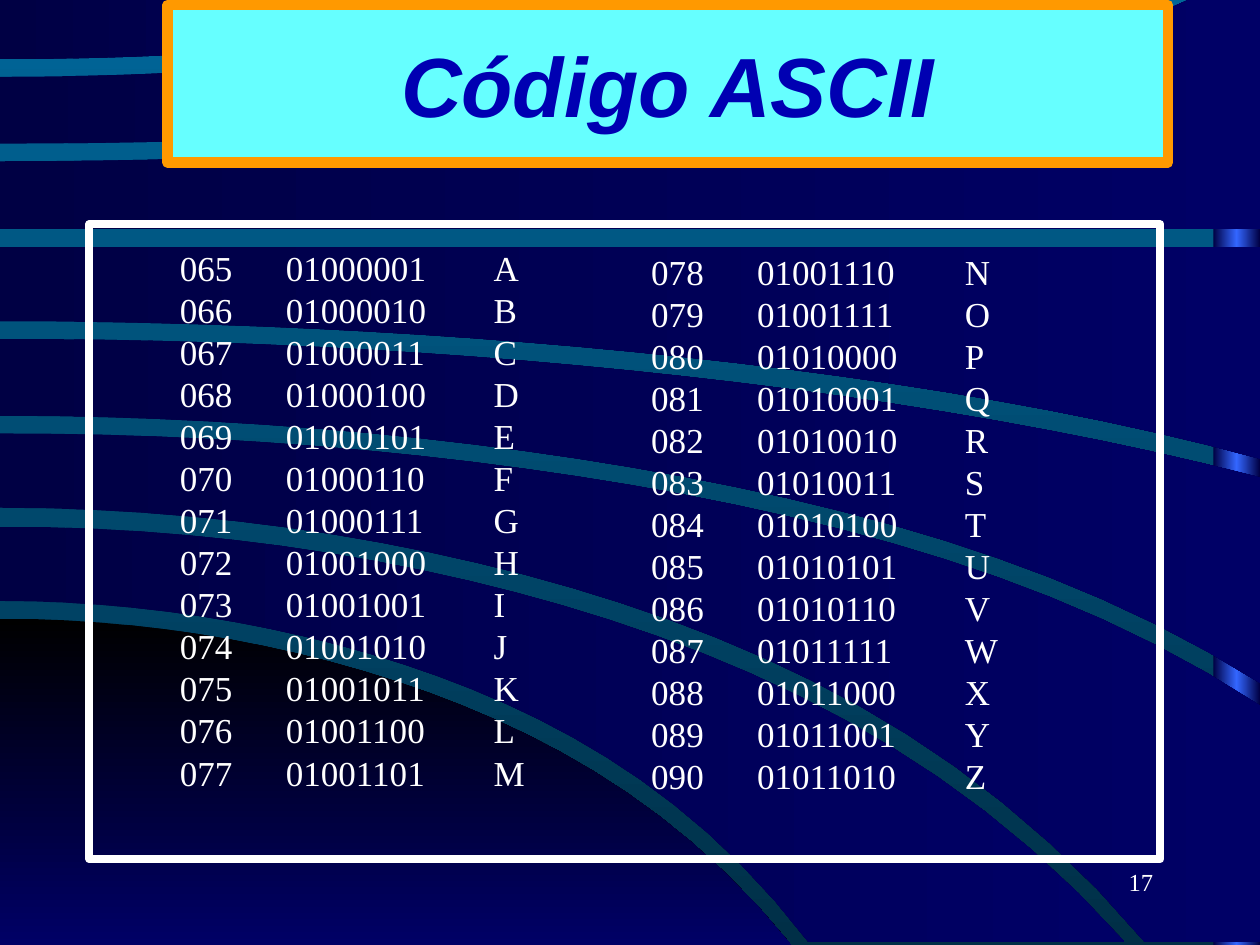
from collections import namedtuple
from copy import deepcopy

from lxml import etree
from pptx import Presentation
from pptx.dml.color import RGBColor
from pptx.enum.shapes import MSO_SHAPE
from pptx.enum.text import MSO_ANCHOR, PP_ALIGN
from pptx.oxml.ns import qn
from pptx.util import Inches, Pt

COLORS = {
    "sky_top": "006699", "sky_bottom": "002F47",
    "night": "000044", "navy": "000066", "black": "000000", "glow": "3366FF",
    "title_fill": "66FFFF", "title_line": "FF9900", "title_text": "0000B2",
    "white": "FFFFFF",
}

# Heights of an arc at its left end, at 3/4 of its reach and at its right end
Edge = namedtuple("Edge", "start bend end reach")


def flat(y, reach):
    return Edge(y, y, y, reach)


CORNER = (Edge(4.91, 6.12, 7.5, 6.28), flat(7.5, 6.28))

# Upper and lower edge of each dark band, from the bottom of the slide to the top
BANDS = [
    (Edge(4.18, 5.71, 7.48, 8.93), Edge(4.77, 6.01, 7.48, 6.42)),
    (Edge(3.44, 4.44, 5.6, 10), Edge(4.03, 5.6, 7.48, 9.09)),
    (Edge(2.69, 3.27, 3.79, 10), Edge(3.3, 4.29, 5.42, 10)),
    (flat(1.96, 10), Edge(2.55, 3.11, 3.64, 10)),
    (Edge(1.28, 0.75, 0, 9.43), flat(1.82, 10)),
    (Edge(0.61, 0.31, 0, 5.48), Edge(1.14, 0.64, 0, 9.13)),
    (flat(0, 4.91), Edge(0.47, 0.22, 0, 4.91)),
]

# The slide lists W with a code of its own
LISTED_CODES = {87: "01011111"}


def rgb(name):
    return RGBColor.from_string(COLORS[name])


def set_gradient(fill, start, end, angle):
    fill.gradient()
    fill.gradient_angle = angle
    for stop, name, position in zip(fill.gradient_stops, (start, end), (0, 1)):
        stop.color.rgb = rgb(name)
        stop.position = position


def set_font(p, name, size, color):
    p.font.name, p.font.size = name, Pt(size)
    p.font.color.rgb = rgb(color)


def add_rect(s, x, y, w, h):
    sp = s.shapes.add_shape(MSO_SHAPE.RECTANGLE, Inches(x), Inches(y), Inches(w), Inches(h))
    sp.shadow.inherit = False
    return sp


def add_text_box(s, x, y, w, h):
    tf = s.shapes.add_textbox(Inches(x), Inches(y), Inches(w), Inches(h)).text_frame
    tf.word_wrap = True
    return tf


def trace(edge, steps=24):
    """Points of y = start + a*t^2 + b*t^6, level at the left end."""
    rise = edge.end - edge.start
    t2, t6 = 0.75 ** 2, 0.75 ** 6
    a = (edge.bend - edge.start - t6 * rise) / (t2 - t6)
    b = rise - a
    ts = [i / steps for i in range(steps + 1)]
    return [(t * edge.reach, edge.start + a * t ** 2 + b * t ** 6) for t in ts]


def add_band(s, x, y, edges, start, end, angle):
    upper, lower = edges
    if lower.reach > upper.reach:
        corner = (lower.reach, upper.end)
    else:
        corner = (upper.reach, lower.end)
    outline = trace(upper) + [corner] + trace(lower)[::-1]
    points = [(Inches(px), Inches(py)) for px, py in outline]
    builder = s.shapes.build_freeform(*points[0])
    builder.add_line_segments(points[1:], close=True)
    sp = builder.convert_to_shape(Inches(x), Inches(y))
    sp.shadow.inherit = False
    sp.line.fill.background()
    set_gradient(sp.fill, start, end, angle)


def add_backdrop(s, x, y, w, h):
    set_gradient(s.background.fill, "sky_top", "sky_bottom", 270)
    strip = add_rect(s, x + w - 0.37, y, 0.37, h)
    strip.line.fill.background()
    set_gradient(strip.fill, "night", "glow", 0)
    strip.fill.gradient_stops[1].position = 0.5
    stops = strip._element.spPr.find(".//" + qn("a:gsLst"))
    last = deepcopy(stops[0])
    last.set("pos", "100000")
    stops.append(last)
    add_band(s, x, y, CORNER, "black", "navy", 270)
    for edges in BANDS:
        add_band(s, x, y, edges, "night", "navy", 0)


def add_title(s, x, y, w, h):
    sp = add_rect(s, x, y, w, h)
    sp.fill.solid()
    sp.fill.fore_color.rgb = rgb("title_fill")
    sp.line.color.rgb = rgb("title_line")
    sp.line.width = Pt(6)
    tf = sp.text_frame
    tf.vertical_anchor = MSO_ANCHOR.MIDDLE
    p = tf.paragraphs[0]
    p.text = "Código ASCII"
    p.alignment = PP_ALIGN.CENTER
    set_font(p, "Arial", 48, "title_text")
    p.font.bold = p.font.italic = True


def add_code_list(s, x, y, w, h, letters):
    """One line per letter: decimal code, binary code and letter at tab stops."""
    tf = add_text_box(s, x, y, w, h)
    for i, letter in enumerate(letters):
        p = tf.add_paragraph() if i else tf.paragraphs[0]
        code = ord(letter)
        p.text = f"{code:03d}\t{LISTED_CODES.get(code, f'{code:08b}')}\t{letter}"
        tabs = etree.SubElement(p._p.get_or_add_pPr(), qn("a:tabLst"))
        for stop in (0.84, 2.49):
            etree.SubElement(tabs, qn("a:tab"), pos=str(Inches(stop)), algn="l")
        set_font(p, "Times New Roman", 20, "white")


def add_code_panel(s, x, y, w, h):
    add_code_list(s, x + 0.62, y + 0.13, 3.38, 4.77, "ABCDEFGHIJKLM")
    add_code_list(s, x + 4.36, y + 0.16, 3.85, 4.43, "NOPQRSTUVWXYZ")
    frame = add_rect(s, x, y, w, h)
    frame.fill.background()
    frame.line.color.rgb = rgb("white")
    frame.line.width = Pt(4.5)


def add_slide_number(s, x, y, w, h):
    p = add_text_box(s, x, y, w, h).paragraphs[0]
    p.text = "17"
    p.alignment = PP_ALIGN.RIGHT
    set_font(p, "Times New Roman", 14, "white")


def main():
    prs = Presentation()
    prs.slide_width, prs.slide_height = Inches(10), Inches(7.5)
    s = prs.slides.add_slide(prs.slide_layouts[6])
    add_backdrop(s, 0, 0, 10, 7.5)
    add_slide_number(s, 7.17, 6.83, 2.08, 0.5)
    add_title(s, 1.33, 0.04, 7.94, 1.25)
    add_code_panel(s, 0.71, 1.78, 8.5, 5.04)
    prs.save("out.pptx")


if __name__ == "__main__":
    main()
